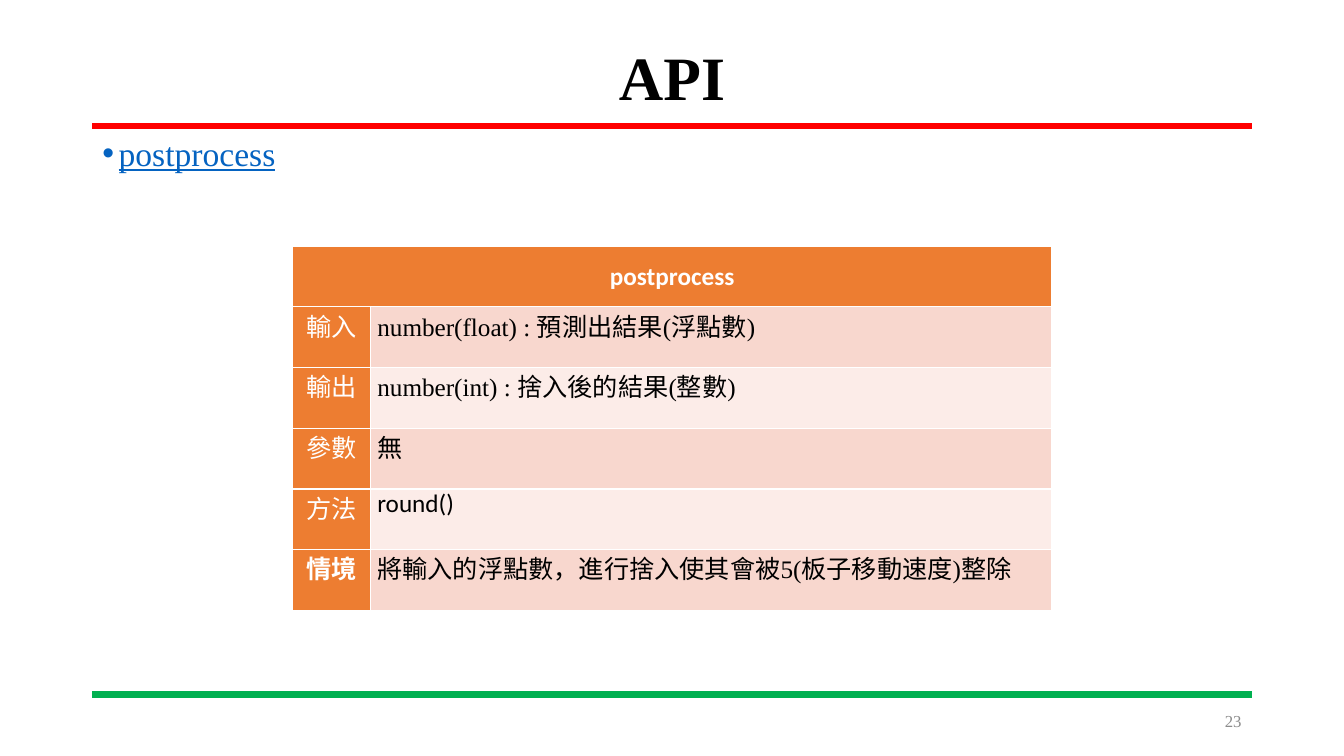
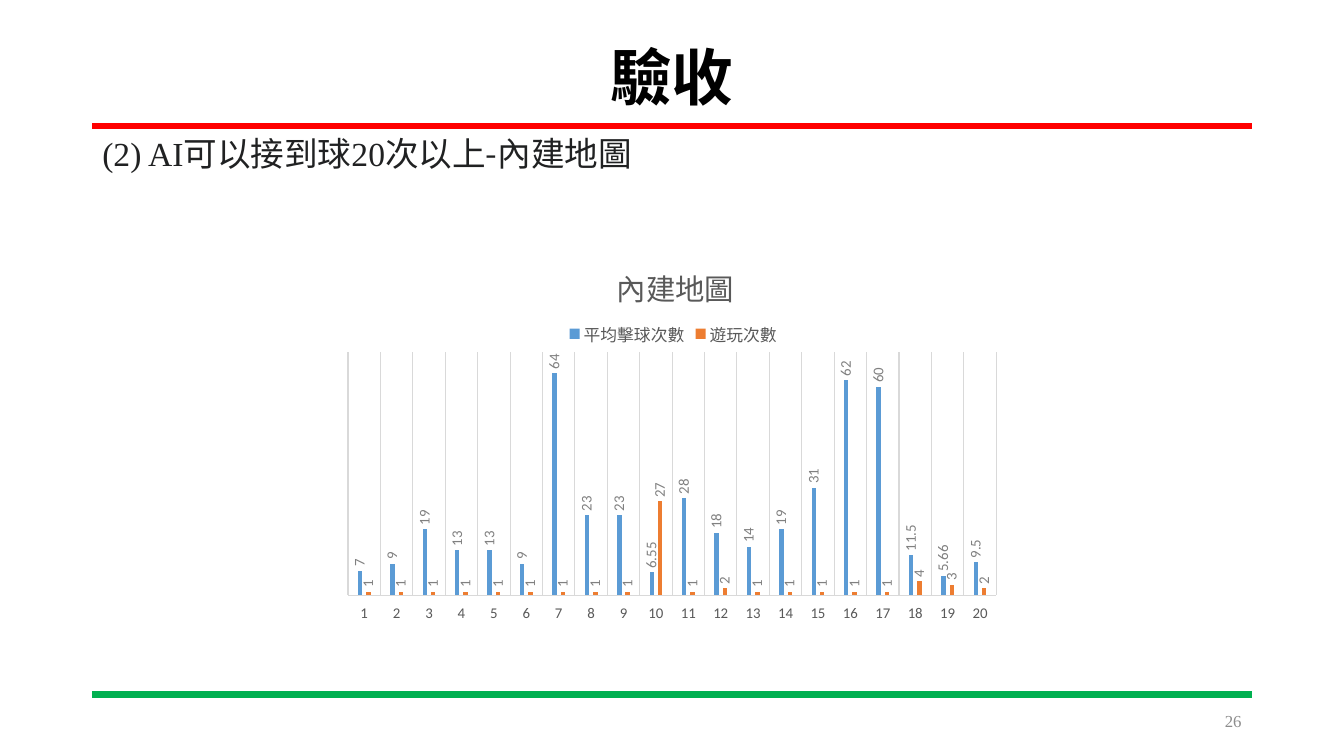
from lxml.etree import SubElement
from pptx import Presentation
from pptx.chart.data import CategoryChartData
from pptx.dml.color import RGBColor
from pptx.enum.chart import XL_CHART_TYPE as ChartType
from pptx.enum.chart import XL_LABEL_POSITION as LabelPosition
from pptx.enum.chart import XL_LEGEND_POSITION as LegendPosition
from pptx.enum.chart import XL_TICK_LABEL_POSITION as TickLabels
from pptx.enum.chart import XL_TICK_MARK as TickMark
from pptx.enum.shapes import MSO_CONNECTOR as Connector
from pptx.enum.text import MSO_ANCHOR as Anchor
from pptx.enum.text import PP_ALIGN as Align
from pptx.oxml import parse_xml
from pptx.oxml.ns import nsdecls, qn
from pptx.util import Cm, Pt

COLOURS = {
    "black": "000000", "white": "FFFFFF", "ink": "202122", "link": "0563C1",
    "red": "FF0000", "green": "00B050", "number": "8C8C8C",
    "orange": "ED7D31", "blue": "5B9BD5", "band_dark": "F8D7CE", "band_light": "FCECE8",
    "chart_text": "595959", "label": "808080", "grid": "D9D9D9",
}
SERIF, SANS, CJK = "Times New Roman", "Calibri", "Noto Sans CJK SC"
LEFT, WIDTH = 2.33, 29.21


def colour(name):
    return RGBColor.from_string(COLOURS[name])


def set_font(font, **values):
    shade = values.pop("shade", None)
    for key, value in values.items():
        setattr(font, key, value)
    if shade:
        font.color.rgb = colour(shade)


def place(part, x, y, width=None, height=None):
    """Give a chart part a manual place, in fractions of the chart."""
    for old in part.findall(qn("c:layout")):
        part.remove(old)
    layout = parse_xml(f"<c:layout {nsdecls('c')}/>")
    manual = SubElement(layout, qn("c:manualLayout"))
    settings = {"xMode": "edge", "yMode": "edge", "x": x, "y": y, "w": width, "h": height}
    if width:
        settings = {"layoutTarget": "inner", **settings}
    for key, value in settings.items():
        if value is not None:
            SubElement(manual, qn(f"c:{key}"), val=str(value))
    overlay = part.find(qn("c:overlay"))
    if overlay is None:
        part.insert(0, layout)
    else:
        overlay.addprevious(layout)


class Slides:
    def __init__(self):
        self.deck = Presentation()
        self.deck.slide_width, self.deck.slide_height = Cm(33.87), Cm(19.05)
        self.page = None

    def save(self):
        self.deck.save("out.pptx")

    def start(self, title, number):
        """Open a page with its title, two rules and page number."""
        self.page = self.deck.slides.add_slide(self.deck.slide_layouts[5])
        self.rule(3.17, "red")
        self.rule(17.5, "green")
        box = self.page.shapes.title
        box.left, box.top, box.width, box.height = Cm(LEFT), Cm(1.02), Cm(WIDTH), Cm(2)
        box.text_frame.vertical_anchor = Anchor.MIDDLE
        para = box.text_frame.paragraphs[0]
        para.alignment, para.line_spacing = Align.CENTER, 0.9
        self.span(para, title, size=Pt(44), bold=True)
        para = self.text_box(23.92, 17.65, 7.62, 1.02, Anchor.MIDDLE)
        para.alignment = Align.RIGHT
        self.span(para, str(number), size=Pt(12), shade="number")

    def rule(self, top, shade):
        line = self.page.shapes.add_connector(
            Connector.STRAIGHT, Cm(LEFT), Cm(top), Cm(LEFT + WIDTH), Cm(top))
        line.line.color.rgb, line.line.width = colour(shade), Pt(4.5)
        SubElement(line._element.spPr, qn("a:effectLst"))

    def text_box(self, left, top, width, height, anchor=Anchor.TOP):
        """Add an empty text box and return its first paragraph."""
        box = self.page.shapes.add_textbox(Cm(left), Cm(top), Cm(width), Cm(height))
        box.text_frame.word_wrap = True
        box.text_frame.vertical_anchor = anchor
        return box.text_frame.paragraphs[0]

    def span(self, para, text, name=SERIF, shade="black", **values):
        run = para.add_run()
        run.text = text
        set_font(run.font, name=name, shade=shade, **values)
        SubElement(run._r.get_or_add_rPr(), qn("a:ea"), typeface=CJK)

    def body(self, spans, bullet=False, **values):
        para = self.text_box(LEFT, 3.33, WIDTH, 14)
        para.line_spacing = 0.9
        if bullet:
            props = para._p.get_or_add_pPr()
            props.set("marL", str(Cm(0.41)))
            props.set("indent", str(-Cm(0.41)))
            SubElement(props, qn("a:buFont"), typeface="Arial")
            SubElement(props, qn("a:buChar"), char="•")
        for text, name in spans:
            self.span(para, text, name, size=Pt(24), **values)

    def cell(self, cell, text, fill, name, shade, bold=False, centred=False):
        cell.margin_left = cell.margin_right = Cm(0.18)
        cell.margin_top = cell.margin_bottom = 0
        props = cell._tc.get_or_add_tcPr()
        for side in ("lnL", "lnR", "lnT", "lnB"):
            border = SubElement(props, qn(f"a:{side}"), w=str(Pt(1)))
            paint = SubElement(border, qn("a:solidFill"))
            SubElement(paint, qn("a:srgbClr"), val=COLOURS["white"])
        cell.fill.solid()
        cell.fill.fore_color.rgb = colour(fill)
        para = cell.text_frame.paragraphs[0]
        para.alignment = Align.CENTER if centred else Align.LEFT
        self.span(para, text, name, shade, size=Pt(18), bold=bold)

    def api_table(self, heading, rows):
        """Add a table of (label, text, text font, bold label) under one heading."""
        widths, row_height = (1.96, 17.18), 1.53
        frame = self.page.shapes.add_table(
            len(rows) + 1, 2, Cm(7.37), Cm(6.2), Cm(sum(widths)), Cm(row_height * (len(rows) + 1)))
        table = frame.table
        for column, width in zip(table.columns, widths):
            column.width = Cm(width)
        for row in table.rows:
            row.height = Cm(row_height)
        head = table.cell(0, 0)
        head.merge(table.cell(0, 1))
        self.cell(head, heading, "orange", SANS, "white", True, True)
        head.vertical_anchor = Anchor.MIDDLE
        for index, (label, text, name, bold) in enumerate(rows, 1):
            band = "band_dark" if index % 2 else "band_light"
            self.cell(table.cell(index, 0), label, "orange", CJK, "white", bold, True)
            self.cell(table.cell(index, 1), text, band, name, "black")

    def column_chart(self, title, series):
        """Add a column chart of {name: (colour, values)}, numbered from 1."""
        data = CategoryChartData()
        count = max(len(values) for _, values in series.values())
        data.categories = [str(number) for number in range(1, count + 1)]
        for name, (_, values) in series.items():
            data.add_series(name, values)
        chart = self.page.shapes.add_chart(
            ChartType.COLUMN_CLUSTERED, Cm(8.43), Cm(5.82), Cm(17.02), Cm(9.88), data).chart
        set_font(chart.font, name=SANS, size=Pt(10), shade="black")

        chart.has_title = True
        para = chart.chart_title.text_frame.paragraphs[0]
        self.span(para, title, CJK, "chart_text", size=Pt(21), bold=False)
        place(chart.chart_title._element, 0.41, 0.07)

        chart.has_legend = True
        chart.legend.position = LegendPosition.TOP
        chart.legend.include_in_layout = False
        set_font(chart.legend.font, name=SANS, size=Pt(12), shade="chart_text")
        place(chart.legend._element, 0.34, 0.22)

        plot = chart.plots[0]
        plot.gap_width, plot.overlap, plot.vary_by_categories = 444, -90, False
        place(chart._chartSpace.chart.plotArea, 0.02, 0.31, 0.96, 0.62)
        for columns, (shade, _) in zip(plot.series, series.values()):
            columns.format.fill.solid()
            columns.format.fill.fore_color.rgb = colour(shade)
            labels = columns.data_labels
            labels.show_value, labels.position = True, LabelPosition.OUTSIDE_END
            set_font(labels.font, name=SANS, size=Pt(10.6), shade="label")
            turned = labels._element.find(qn("c:txPr")).find(qn("a:bodyPr"))
            turned.set("rot", "-5400000")
            turned.set("vert", "horz")

        axis = chart.category_axis
        axis.major_tick_mark = axis.minor_tick_mark = TickMark.NONE
        axis.tick_label_position = TickLabels.LOW
        set_font(axis.tick_labels.font, name=SANS, size=Pt(10.6), shade="chart_text")
        axis.has_major_gridlines = True
        for part in (axis, axis.major_gridlines):
            part.format.line.color.rgb, part.format.line.width = colour("grid"), Pt(0.75)
        values_axis = chart.value_axis
        values_axis.visible = values_axis.has_major_gridlines = False
        values_axis.minimum_scale, values_axis.maximum_scale = 0, 70


def main():
    slides = Slides()

    slides.start("API", 23)
    slides.body([("postprocess", SERIF)], bullet=True, shade="link", underline=True)
    slides.api_table("postprocess", [
        ("輸入", "number(float) : 預測出結果(浮點數)", SERIF, False),
        ("輸出", "number(int) : 捨入後的結果(整數)", SERIF, False),
        ("參數", "無", CJK, False),
        ("方法", "round()", SANS, False),
        ("情境", "將輸入的浮點數，進行捨入使其會被5(板子移動速度)整除", SERIF, True),
    ])

    slides.start("驗收", 26)
    slides.body([("(2) AI", SERIF), ("可以接到球", CJK), ("20", SERIF),
                 ("次以上-內建地圖", CJK)], shade="ink")
    slides.column_chart("內建地圖", {
        "平均擊球次數": ("blue", [7, 9, 19, 13, 13, 9, 64, 23, 23, 6.55,
                            28, 18, 14, 19, 31, 62, 60, 11.5, 5.66, 9.5]),
        "遊玩次數": ("orange", [1] * 9 + [27, 1, 2] + [1] * 5 + [4, 3, 2]),
    })
    slides.save()


if __name__ == "__main__":
    main()
